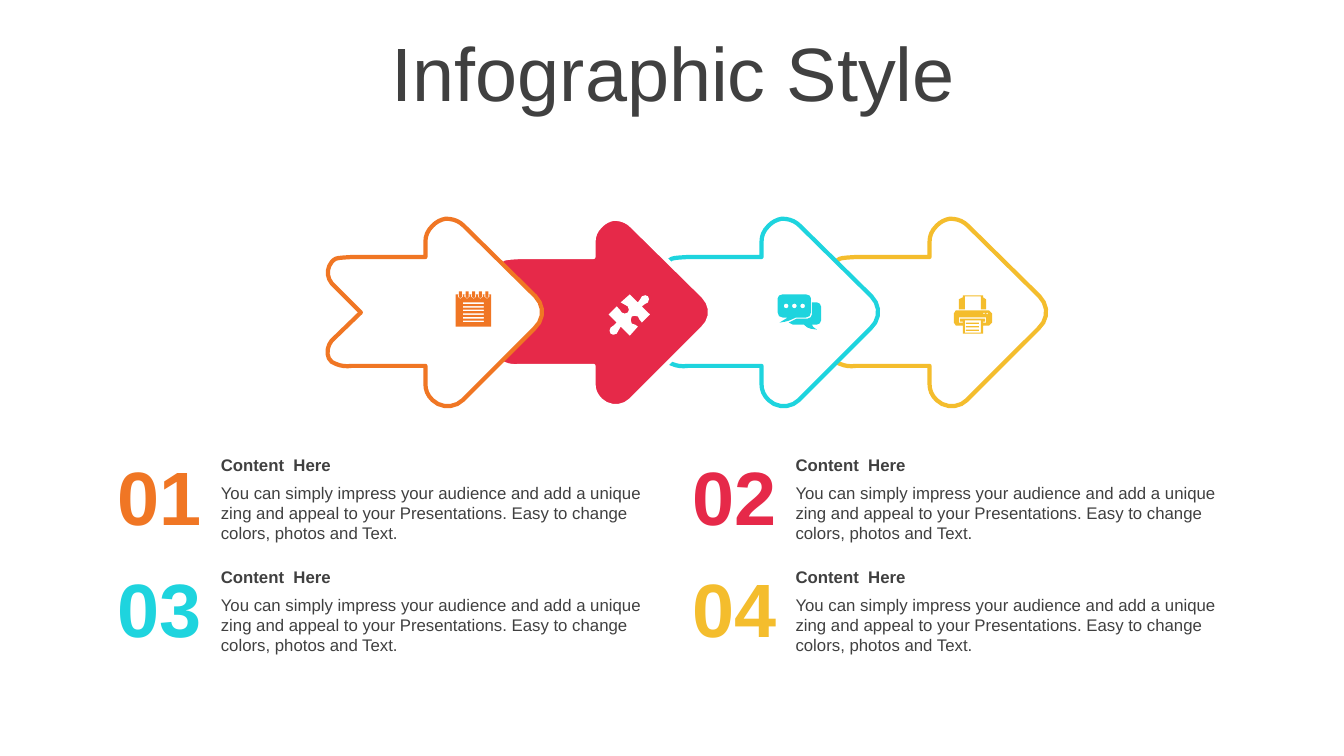
from math import dist

from pptx import Presentation
from pptx.dml.color import RGBColor
from pptx.enum.text import MSO_ANCHOR, MSO_AUTO_SIZE, PP_ALIGN
from pptx.util import Inches, Pt

MIDDLE, TOP = MSO_ANCHOR.MIDDLE, MSO_ANCHOR.TOP
LEFT, CENTER, RIGHT = PP_ALIGN.LEFT, PP_ALIGN.CENTER, PP_ALIGN.RIGHT
GROW, FIXED = MSO_AUTO_SIZE.SHAPE_TO_FIT_TEXT, MSO_AUTO_SIZE.NONE

ORANGE, RED, CYAN, YELLOW = "F07624", "E62949", "1ED4DE", "F4BD2D"
WHITE, GRAY = "FFFFFF", "404040"
HEADING = "Content  Here"
DESCRIPTION = ("You can simply impress your audience and add a unique zing and appeal "
               "to your Presentations. Easy to change colors, photos and Text.")
ARROW_STEP = 5 / 3

ARROW = ("142,17 149,17,155,19,160,24 231,94 240,103,240,117,230,126 159,197 "
         "151,205,137,205,129,197 124,192,122,187,122,181 122,163 49,163 "
         "42,164,36,163,29,159 23,154,24,144,29,138 58,110 29,81 24,75,24,66,29,60 "
         "33,56,32,56,49,55 122,55 122,40 122,34,124,29,129,24 133,20,137,18,142,17")
PUZZLE = ("39,2 40,3,41,6,39,8 37,10,35,9,33,12 41,20 33,28 30,26,31,24,29,22 "
          "27,21,24,21,23,22 22,24,21,27,23,29 26,31,27,29,29,32 21,41 12,32 "
          "9,35,11,36,8,39 6,41,3,40,2,39 1,37,0,35,2,33 4,30,6,32,8,28 0,20 8,12 "
          "12,14,10,16,13,18 15,20,17,19,19,18 20,17,21,14,19,12 16,9,15,11,12,8 "
          "21,0 29,8 32,6,30,5,33,2 35,0,38,1,39,2")
BACK_BUBBLE = ("34,8 39,8 41,8,43,10,43,12 43,26 43,28,41,30,39,30 34,30 "
               "35,32,35,33,39,35 31,34,30,34,26,30 15,30 11,28 19,24 30,24 "
               "32,24,34,22,34,20")
FRONT_BUBBLE = ("5,0 28,0 31,0,33,2,33,4 33,18 33,21,31,23,28,23 18,23 "
                "12,26,10,27,2,28 10,23 5,23 2,23,0,21,0,18 0,4 0,2,2,0,5,0")
PRINTER_BODY = "2,15 35,15 38,18 38,27 35,30 29,30 29,38 9,38 9,30 2,30 0,27 0,18"
PRINTER_SLOT = "5,22 5,27 9,27 9,26 6,26 6,23 31,23 31,26 29,26 29,27 32,27 32,22"
PRINTER_FEED = "9,0 29,0 29,2 32,4 32,14 27,14 27,1 11,1 11,14 5,14 5,4 9,2"


def rgb(color):
    """Turn a hex string into a colour."""
    return RGBColor.from_string(color)


def bar(x, y, width, height):
    """Describe a rectangle as a contour."""
    return f"{x},{y} {x + width},{y} {x + width},{y + height} {x},{y + height}"


def dot(x, y, r):
    """Describe a circle as a contour."""
    k = 0.55 * r
    return (f"{x},{y - r} {x + k},{y - r},{x + r},{y - k},{x + r},{y} "
            f"{x + r},{y + k},{x + k},{y + r},{x},{y + r} "
            f"{x - k},{y + r},{x - r},{y + k},{x - r},{y} "
            f"{x - r},{y - k},{x - k},{y - r},{x},{y - r}")


def pin(x, top, half, bottom):
    """Describe an upright bar with a round lower end as a contour."""
    return (f"{x - half},{top} {x + half},{top} {x + half},{bottom - half} "
            f"{x + half},{bottom},{x - half},{bottom},{x - half},{bottom - half}")


def trace(contour):
    """Turn a contour in hundredths of an inch into points; six numbers make a curve."""
    points = []
    for segment in contour.split():
        values = [float(value) / 100 for value in segment.split(",")]
        pairs = list(zip(values[::2], values[1::2]))
        if len(pairs) == 1:
            points += pairs
            continue
        controls = [points[-1]] + pairs
        chord = dist(controls[0], controls[-1])
        steps = 1 if chord < 0.03 else min(5, max(2, round(chord / 0.04)))
        for step in range(1, steps + 1):
            t = step / steps
            weights = ((1 - t) ** 3, 3 * t * (1 - t) ** 2, 3 * t * t * (1 - t), t ** 3)
            points.append(tuple(sum(w * p[axis] for w, p in zip(weights, controls))
                                for axis in (0, 1)))
    return points


def add_outline(slide, left, top, contours, fill, line=None):
    """Draw contours as one filled shape at the given corner."""
    builder = None
    for contour in contours:
        points = [(Inches(left + x), Inches(top + y)) for x, y in trace(contour)]
        if builder is None:
            builder = slide.shapes.build_freeform(*points[0])
        else:
            builder.move_to(*points[0])
        builder.add_line_segments(points[1:], close=True)
    outline = builder.convert_to_shape()
    outline.shadow.inherit = False
    outline.fill.solid()
    outline.fill.fore_color.rgb = rgb(fill)
    if line:
        outline.line.color.rgb = rgb(line)
        outline.line.width = Pt(3)
    else:
        outline.line.fill.background()


def add_text(slide, box, text, size, color=GRAY, bold=False, align=LEFT, anchor=MIDDLE,
             margins=(0, 0.05, 0.1, 0.05), spacing=1.0, auto_size=GROW):
    """Place one paragraph of text in a box."""
    frame = slide.shapes.add_textbox(*map(Inches, box)).text_frame
    left, top, right, bottom = map(Inches, margins)
    frame_format = {"word_wrap": True, "auto_size": auto_size, "vertical_anchor": anchor,
                    "margin_left": left, "margin_top": top,
                    "margin_right": right, "margin_bottom": bottom}
    for key, value in frame_format.items():
        setattr(frame, key, value)
    paragraph = frame.paragraphs[0]
    paragraph.alignment = align
    paragraph.line_spacing = spacing
    run = paragraph.add_run()
    run.text = text
    for key, value in {"name": "Arial", "size": Pt(size), "bold": bold}.items():
        setattr(run.font, key, value)
    run.font.color.rgb = rgb(color)


def add_arrow_chain(slide, left, top):
    """Draw the overlapping arrows from right to left, then their icons."""
    pins = [4.6 + 6.6 * i for i in range(5)]
    notepad = ([bar(0, 3, 35, 32)] + [pin(x, 3, 2.5, 8) for x in pins]
               + [pin(x, 0, 1.5, 7) for x in pins]
               + [bar(7, 11 + 3.6 * i, 21, 1.6) for i in range(6)])
    chat = [BACK_BUBBLE, FRONT_BUBBLE] + [dot(8.4 + 8.2 * i, 11.5, 2.4) for i in range(3)]
    printer = ([PRINTER_BODY, PRINTER_SLOT, PRINTER_FEED, bar(11, 25, 16, 12)]
               + [bar(12, 27 + 3.5 * i, 13, 1.4) for i in range(3)]
               + [dot(x, 18, 1) for x in (30, 33)])
    stages = [(WHITE, ORANGE, ORANGE, notepad, 1.52, 0.89),
              (RED, WHITE, WHITE, [PUZZLE], 1.37, 0.92),
              (WHITE, CYAN, CYAN, chat, 1.38, 0.92),
              (WHITE, YELLOW, YELLOW, printer, 1.46, 0.93)]
    for index, (fill, line, *_) in reversed(list(enumerate(stages))):
        add_outline(slide, left + index * ARROW_STEP, top, [ARROW], fill, line)
    for index, (_, _, color, icon, dx, dy) in enumerate(stages):
        add_outline(slide, left + index * ARROW_STEP + dx, top + dy, icon, color)


def add_content_block(slide, left, top, number, color):
    """Place a large number beside its heading and description."""
    add_text(slide, (left, top, 0.94, 0.91), number, 54, color, True, RIGHT,
             margins=(0, 0, 0, 0))
    add_text(slide, (left + 1.13, top, 4.45, 0.3), HEADING, 12, bold=True)
    add_text(slide, (left + 1.13, top + 0.28, 4.45, 0.71), DESCRIPTION, 12, anchor=TOP)


def main():
    """Build the slide and save it."""
    deck = Presentation()
    deck.slide_width, deck.slide_height = Inches(13.33), Inches(7.5)
    slide = deck.slides.add_slide(deck.slide_layouts[6])
    add_arrow_chain(slide, 3, 2)
    add_text(slide, (0.35, 0.37, 12.66, 0.79), "Infographic Style", 54, align=CENTER,
             margins=(0.1, 0.05, 0.1, 0.05), spacing=0.9, auto_size=FIXED)
    for index, color in enumerate((ORANGE, RED, CYAN, YELLOW)):
        row, column = divmod(index, 2)
        add_content_block(slide, 1.06 + 5.7 * column, 4.46 + 1.11 * row,
                          f"{index + 1:02}", color)
    deck.save("out.pptx")


if __name__ == "__main__":
    main()
